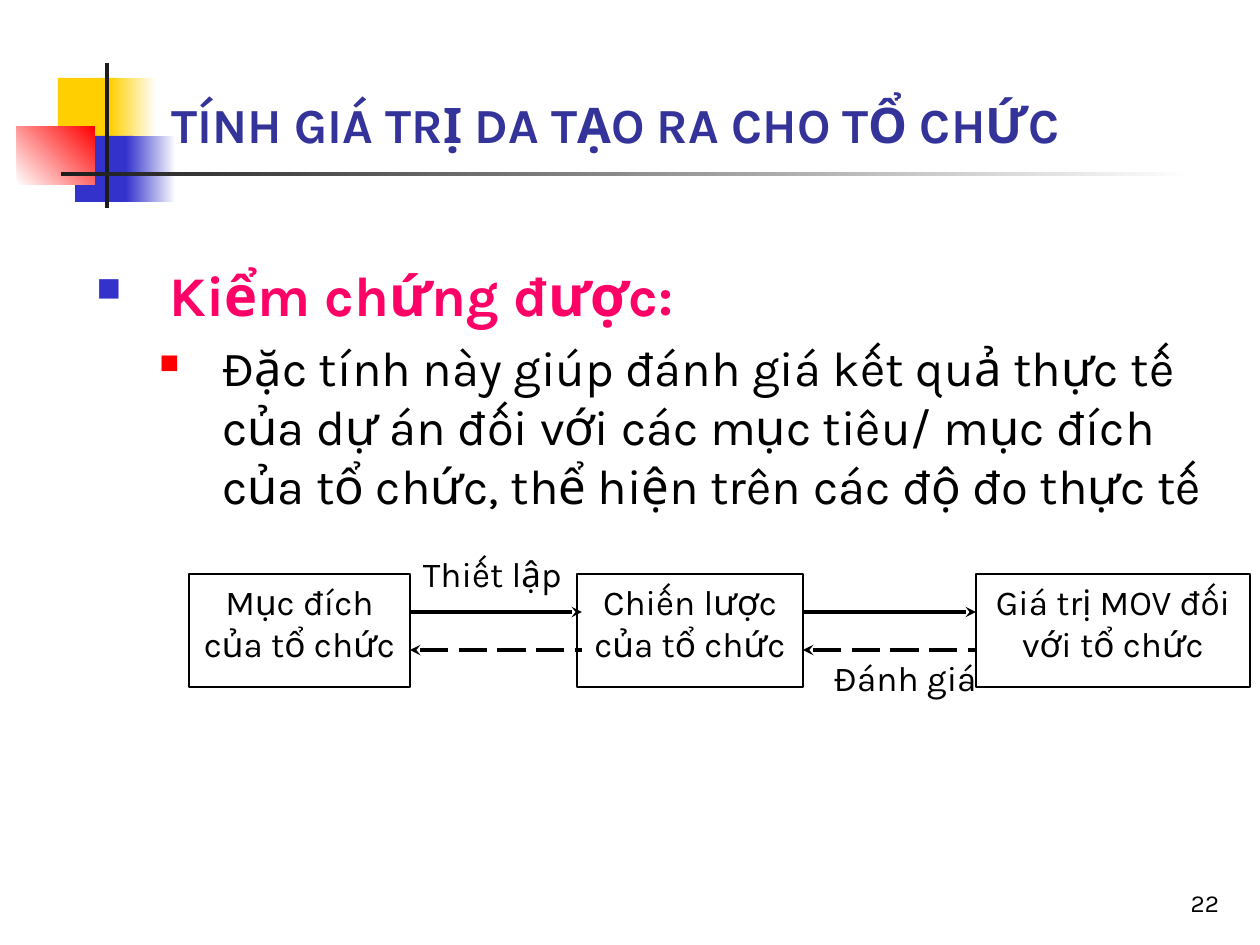
from typing import NamedTuple, Optional

from lxml import etree
from pptx import Presentation
from pptx.dml.color import RGBColor
from pptx.enum.dml import MSO_LINE
from pptx.enum.shapes import MSO_CONNECTOR, MSO_SHAPE
from pptx.enum.text import MSO_ANCHOR as ANCHOR, PP_ALIGN as ALIGN
from pptx.oxml.ns import qn
from pptx.util import Emu, Pt

FONT = "Karla"
BLACK, WHITE, DARK = "000000", "FFFFFF", "1C1C1C"
YELLOW, BLUE, RED = "FFCF01", "3333CC", "FF0000"
BOX_TOP, BOX_H = 574, 113
SOLID_Y, DASH_Y = 612, 650


class Block(NamedTuple):
    x: int
    y: int
    w: int
    h: int
    color: str
    end_color: Optional[str] = None
    angle: int = 0


class Box(NamedTuple):
    x: int
    w: int
    text: str


class Label(NamedTuple):
    x: int
    y: int
    w: int
    h: int
    text: str
    size: int = 20
    color: str = BLACK
    bold: bool = False
    align: ALIGN = ALIGN.LEFT
    anchor: ANCHOR = ANCHOR.TOP
    inset: int = 0


class Bullet(NamedTuple):
    text: str
    size: int
    color: str
    bold: bool
    level: int
    margin: int
    hang: int
    mark_color: str
    mark_pct: int


BLOCKS = [
    Block(58, 78, 60, 66, YELLOW),
    Block(110, 78, 46, 66, YELLOW, WHITE),
    Block(75, 136, 58, 66, BLUE),
    Block(126, 136, 50, 66, BLUE, WHITE),
    Block(17, 126, 78, 59, WHITE, RED, 45),
    Block(105, 63, 4, 145, DARK),
    Block(61, 172, 1134, 4, DARK, WHITE),
]
BOXES = [
    Box(189, 221, "Mục đích của tổ chức"),
    Box(577, 226, "Chiến lược của tổ chức"),
    Box(976, 274, "Giá trị MOV đối với tổ chức"),
]
ARROW_SPANS = [(410, 582), (803, 976)]
LABELS = [
    Label(970, 861, 262, 63, "22", 14, align=ALIGN.RIGHT, anchor=ANCHOR.BOTTOM, inset=13),
    Label(159, 21, 1074, 139, "TÍNH GIÁ TRỊ DA TẠO RA CHO TỔ CHỨC", 28, "333399", True,
          anchor=ANCHOR.BOTTOM, inset=13),
    Label(423, 546, 149, 74, "Thiết lập"),
    Label(834, 650, 146, 54, "Đánh giá"),
]
BULLETS = [
    Bullet("Kiểm chứng được:", 32, "FF0066", True, 0, 73, 73, BLUE, 60),
    Bullet("Đặc tính này giúp đánh giá kết quả thực tế của dự án đối với các mục tiêu/ "
           "mục đích của tổ chức, thể hiện trên các độ đo thực tế",
           28, BLACK, False, 1, 126, 63, RED, 55),
]


def px(n: int) -> Emu:
    return Emu(round(n * 914400 / 126))


def rgb(color: str) -> RGBColor:
    return RGBColor.from_string(color)


def style(p, size: int, color: str, bold: bool = False) -> None:
    for r in p.runs:
        r.font.name, r.font.size, r.font.bold = FONT, Pt(size), bold
        r.font.color.rgb = rgb(color)


def add_rect(shapes, x: int, y: int, w: int, h: int):
    sp = shapes.add_shape(MSO_SHAPE.RECTANGLE, px(x), px(y), px(w), px(h))
    sp.shadow.inherit = False
    return sp


def draw_block(shapes, b: Block) -> None:
    sp = add_rect(shapes, b.x, b.y, b.w, b.h)
    sp.line.fill.background()
    if b.end_color is None:
        sp.fill.solid()
        sp.fill.fore_color.rgb = rgb(b.color)
        return
    sp.fill.gradient()
    sp.fill.gradient_angle = b.angle
    for stop, color in zip(sp.fill.gradient_stops, (b.color, b.end_color)):
        stop.color.rgb = rgb(color)


def draw_box(shapes, b: Box) -> None:
    sp = add_rect(shapes, b.x, BOX_TOP, b.w, BOX_H)
    sp.fill.solid()
    sp.fill.fore_color.rgb = rgb(WHITE)
    sp.line.color.rgb = rgb(BLACK)
    sp.line.width = Pt(0.75)
    tf = sp.text_frame
    tf.text = b.text
    tf.word_wrap, tf.vertical_anchor = True, ANCHOR.TOP
    p = tf.paragraphs[0]
    p.alignment = ALIGN.CENTER
    style(p, 20, BLACK)


def draw_arrow(shapes, x1: int, x2: int, y: int, dashed: bool) -> None:
    c = shapes.add_connector(MSO_CONNECTOR.STRAIGHT, px(x1), px(y), px(x2), px(y))
    c.line.color.rgb = rgb(BLACK)
    c.line.width = Pt(2)
    if dashed:
        c.line.dash_style = MSO_LINE.LONG_DASH
    end = "a:headEnd" if dashed else "a:tailEnd"
    etree.SubElement(c.line._get_or_add_ln(), qn(end), type="stealth")
    etree.SubElement(c._element.spPr, qn("a:effectLst"))


def draw_label(shapes, t: Label) -> None:
    tf = shapes.add_textbox(px(t.x), px(t.y), px(t.w), px(t.h)).text_frame
    tf.text = t.text
    tf.word_wrap, tf.vertical_anchor = True, t.anchor
    tf.margin_left = tf.margin_right = px(t.inset)
    p = tf.paragraphs[0]
    p.alignment = t.align
    style(p, t.size, t.color, t.bold)


def draw_bullets(shapes, items: list[Bullet]) -> None:
    tf = shapes.add_textbox(px(84), px(254), px(1156), px(618)).text_frame
    tf.word_wrap = True
    for i, b in enumerate(items):
        p = tf.add_paragraph() if i else tf.paragraphs[0]
        p.text, p.level = b.text, b.level
        if i:
            p.space_before = Pt(6)
        pPr = p._p.get_or_add_pPr()
        pPr.set("marL", str(px(b.margin)))
        pPr.set("indent", str(-px(b.hang)))
        clr = etree.SubElement(pPr, qn("a:buClr"))
        etree.SubElement(clr, qn("a:srgbClr"), val=b.mark_color)
        etree.SubElement(pPr, qn("a:buSzPct"), val=str(b.mark_pct * 1000))
        etree.SubElement(pPr, qn("a:buChar"), char="■")
        style(p, b.size, b.color, b.bold)


def main() -> None:
    prs = Presentation()
    prs.slide_width, prs.slide_height = px(1260), px(945)
    shapes = prs.slides.add_slide(prs.slide_layouts[6]).shapes
    for block in BLOCKS:
        draw_block(shapes, block)
    draw_bullets(shapes, BULLETS)
    for box in BOXES:
        draw_box(shapes, box)
    for x1, x2 in ARROW_SPANS:
        draw_arrow(shapes, x1, x2, SOLID_Y, False)
        draw_arrow(shapes, x1, x2, DASH_Y, True)
    for label in LABELS:
        draw_label(shapes, label)
    prs.save("out.pptx")


if __name__ == "__main__":
    main()
